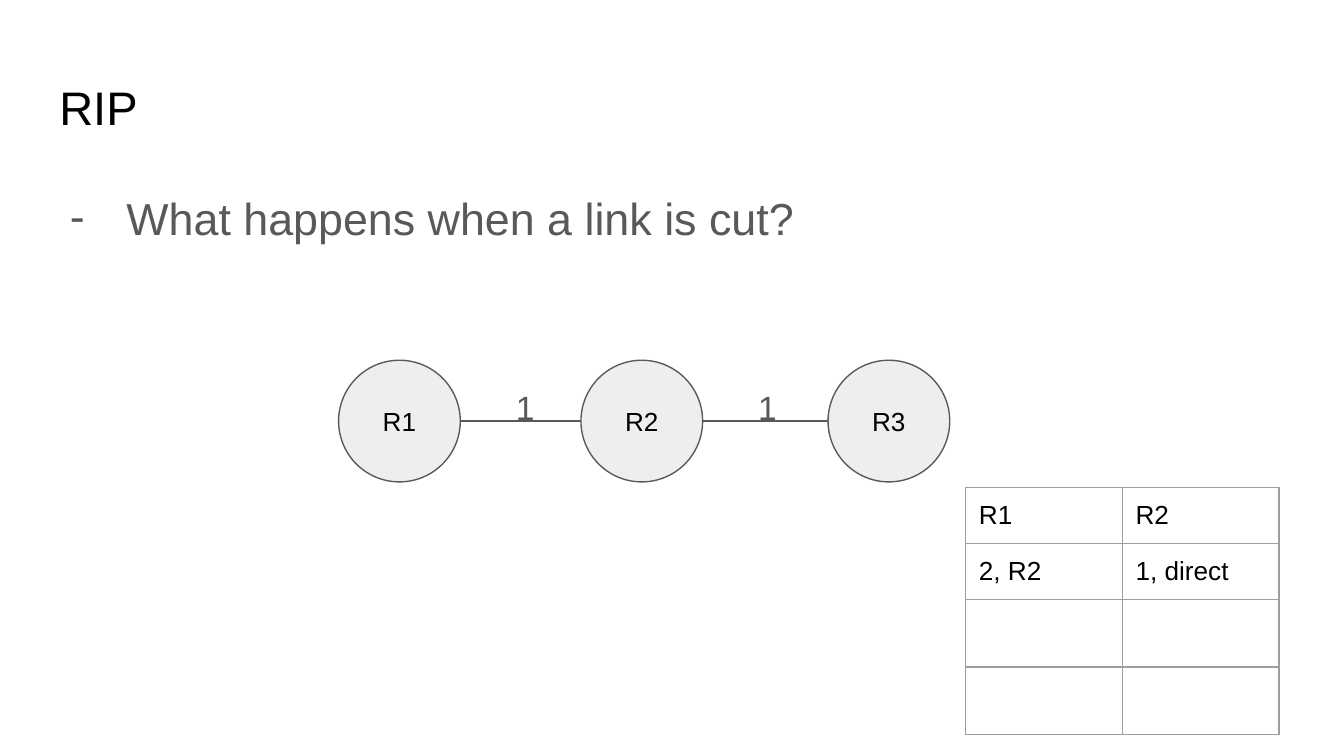
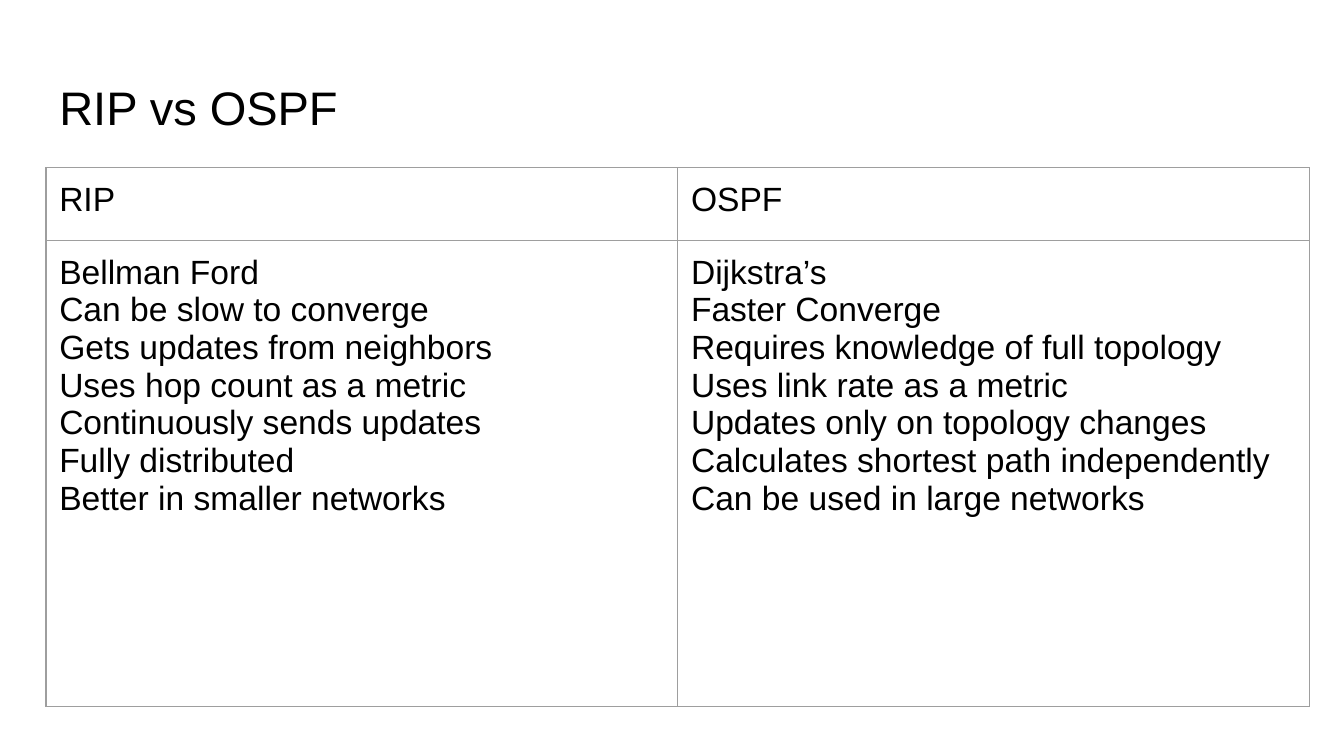
from lxml import etree
from pptx import Presentation
from pptx.dml.color import RGBColor
from pptx.enum.shapes import MSO_CONNECTOR, MSO_SHAPE
from pptx.enum.text import MSO_ANCHOR, MSO_AUTO_SIZE, PP_ALIGN
from pptx.oxml.ns import qn
from pptx.util import Cm, Pt

OVAL = MSO_SHAPE.OVAL
STRAIGHT = MSO_CONNECTOR.STRAIGHT
TOP, MIDDLE = MSO_ANCHOR.TOP, MSO_ANCHOR.MIDDLE
LEFT, CENTER = PP_ALIGN.LEFT, PP_ALIGN.CENTER
NO_FIT = MSO_AUTO_SIZE.NONE

# Content
RIP_TITLE = "RIP"
QUESTION = "What happens when a link is cut?"
ROUTERS = [("R1", 6.4), ("R2", 10.98), ("R3", 15.65)]  # name, left edge in cm
HOP_COSTS = ["1", "1"]
ROUTES = [["R1", "R2"], ["2, R2", "1, direct"], ["", ""], ["", ""]]

COMPARISON_TITLE = "RIP vs OSPF"
RIP_TRAITS = [
    "Bellman Ford",
    "Can be slow to converge",
    "Gets updates from neighbors",
    "Uses hop count as a metric",
    "Continuously sends updates",
    "Fully distributed",
    "Better in smaller networks",
]
OSPF_TRAITS = [
    "Dijkstra’s",
    "Faster Converge",
    "Requires knowledge of full topology",
    "Uses link rate as a metric",
    "Updates only on topology changes",
    "Calculates shortest path independently",
    "Can be used in large networks",
]
COMPARISON = [["RIP", "OSPF"], ["\n".join(RIP_TRAITS), "\n".join(OSPF_TRAITS)]]

# Shared look
COLORS = {"text": "000000", "muted": "595959", "node": "EEEEEE",
          "grid": "9E9E9E", "background": "FFFFFF"}
FONT = "Arial"
LINE_WIDTH = Pt(0.75)
INSET = Cm(0.25)
MARGIN, CONTENT_WIDTH = 0.87, 23.67
ROUTER_SIZE, ROUTER_TOP = 2.3, 6.81
FRAME_FORMAT = {"word_wrap": True, "auto_size": NO_FIT,
                "margin_left": INSET, "margin_right": INSET,
                "margin_top": INSET, "margin_bottom": INSET}
CELL_FORMAT = {name: INSET for name in FRAME_FORMAT if name.startswith("margin")}


def rgb(name):
    return RGBColor.from_string(COLORS[name])


def apply(target, values):
    for name, value in values.items():
        setattr(target, name, value)


def box(left, top, width, height):
    return [Cm(value) for value in (left, top, width, height)]


def style_text(frame, size, color="text", align=LEFT, spacing=1.0):
    for paragraph in frame.paragraphs:
        apply(paragraph, {"alignment": align, "line_spacing": spacing,
                          "space_before": Pt(0), "space_after": Pt(0)})
        for run in paragraph.runs:
            apply(run.font, {"name": FONT, "size": Pt(size)})
            run.font.color.rgb = rgb(color)


def write(shape, text, size, color="text", align=LEFT, anchor=TOP, spacing=1.0):
    frame = shape.text_frame
    apply(frame, {**FRAME_FORMAT, "vertical_anchor": anchor, "text": text})
    style_text(frame, size, color, align, spacing)


def place(shape, left, top, width, height):
    names = ("left", "top", "width", "height")
    apply(shape, dict(zip(names, box(left, top, width, height))))


def new_slide(deck, layout, title):
    slide = deck.slides.add_slide(deck.slide_layouts.get_by_name(layout))
    slide.background.fill.solid()
    slide.background.fill.fore_color.rgb = rgb("background")
    place(slide.shapes.title, MARGIN, 1.24, CONTENT_WIDTH, 1.6)
    write(slide.shapes.title, title, 25.2)
    return slide


def dash_bullet(paragraph):
    properties = paragraph._p.get_or_add_pPr()
    properties.set("marL", str(Cm(1.27)))
    properties.set("indent", str(Cm(-1.07)))
    color = etree.SubElement(properties, qn("a:buClr"))
    etree.SubElement(color, qn("a:srgbClr"), val=COLORS["muted"])
    etree.SubElement(properties, qn("a:buFont"), typeface=FONT)
    etree.SubElement(properties, qn("a:buChar"), char="-")


def border(cell):
    properties = cell._tc.get_or_add_tcPr()
    for position, side in enumerate(("lnL", "lnR", "lnT", "lnB")):
        edge = etree.Element(qn(f"a:{side}"), w=str(LINE_WIDTH))
        fill = etree.SubElement(edge, qn("a:solidFill"))
        etree.SubElement(fill, qn("a:srgbClr"), val=COLORS["grid"])
        properties.insert(position, edge)


def add_grid(slide, rows, left, top, column_width, heights, size):
    columns = len(rows[0])
    area = box(left, top, column_width * columns, sum(heights))
    table = slide.shapes.add_table(len(rows), columns, *area).table
    apply(table, {"first_row": False, "horz_banding": False})
    for column in table.columns:
        column.width = Cm(column_width)
    for r, (texts, height) in enumerate(zip(rows, heights)):
        table.rows[r].height = Cm(height)
        for c, text in enumerate(texts):
            cell = table.cell(r, c)
            apply(cell, CELL_FORMAT)
            cell.fill.background()
            border(cell)
            if text:
                cell.text = text
                style_text(cell.text_frame, size)


def add_router(slide, name, left):
    router = slide.shapes.add_shape(
        OVAL, *box(left, ROUTER_TOP, ROUTER_SIZE, ROUTER_SIZE))
    router.shadow.inherit = False
    router.fill.solid()
    router.fill.fore_color.rgb = rgb("node")
    router.line.color.rgb = rgb("muted")
    router.line.width = LINE_WIDTH
    write(router, name, 14, align=CENTER, anchor=MIDDLE)


def add_link(slide, start, end):
    y = Cm(ROUTER_TOP + ROUTER_SIZE / 2)
    link = slide.shapes.add_connector(STRAIGHT, Cm(start), y, Cm(end), y)
    link.line.color.rgb = rgb("muted")
    link.line.width = LINE_WIDTH
    etree.SubElement(link._element.spPr, qn("a:effectLst"))


def build_link_cut(deck):
    slide = new_slide(deck, "Title and Content", RIP_TITLE)
    question = slide.placeholders[1]
    place(question, MARGIN, 3.2, CONTENT_WIDTH, 9.5)
    write(question, QUESTION, 24, "muted", spacing=1.15)
    dash_bullet(question.text_frame.paragraphs[0])

    # Chain of routers, with a link and its cost in each gap
    for name, left in ROUTERS:
        add_router(slide, name, left)
    lefts = [left for _, left in ROUTERS]
    for cost, left, following in zip(HOP_COSTS, lefts, lefts[1:]):
        start = left + ROUTER_SIZE
        add_link(slide, start, following)
        label = slide.shapes.add_textbox(*box(start + 0.8, 7.06, 1.1, 0.6))
        write(label, cost, 18, "muted")

    # Routing table of R3
    add_grid(slide, ROUTES, 18.25, 9.22, 2.96, [0.58] * len(ROUTES), 14)


def build_comparison(deck):
    slide = new_slide(deck, "Title Only", COMPARISON_TITLE)
    add_grid(slide, COMPARISON, MARGIN, 3.17, 11.94, [1.38, 8.81], 18)


def main():
    deck = Presentation()
    apply(deck, {"slide_width": Cm(25.4), "slide_height": Cm(14.29)})
    build_link_cut(deck)
    build_comparison(deck)
    deck.save("out.pptx")


if __name__ == "__main__":
    main()
